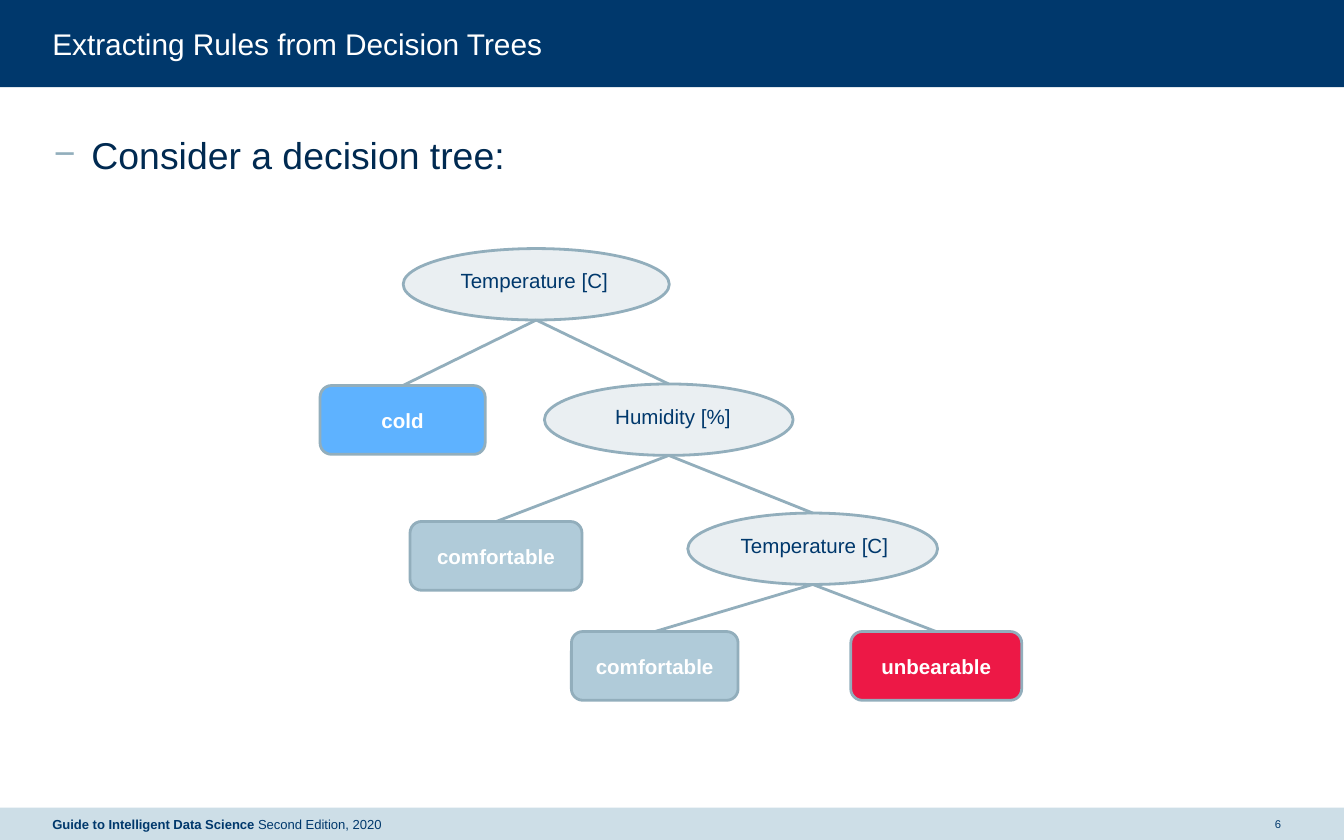
from collections import namedtuple

from lxml import etree
from pptx import Presentation
from pptx.dml.color import RGBColor
from pptx.enum.shapes import MSO_CONNECTOR, MSO_SHAPE
from pptx.enum.text import MSO_ANCHOR, MSO_AUTO_SIZE, PP_ALIGN
from pptx.oxml.ns import qn
from pptx.util import Cm, Pt

NAVY = RGBColor(0x00, 0x38, 0x6C)
INK = RGBColor(0x00, 0x2A, 0x51)
WHITE = RGBColor(0xFF, 0xFF, 0xFF)
FOOTER_BLUE = RGBColor(0xCD, 0xDE, 0xE7)
OUTLINE = RGBColor(0x92, 0xAE, 0xBC)
NODE_FILL = RGBColor(0xEA, 0xEF, 0xF2)
COLD = RGBColor(0x5E, 0xB2, 0xFF)
COMFORTABLE = RGBColor(0xB0, 0xCB, 0xD9)
UNBEARABLE = RGBColor(0xED, 0x18, 0x46)

RECTANGLE = MSO_SHAPE.RECTANGLE
OVAL = MSO_SHAPE.OVAL
ROUNDED = MSO_SHAPE.ROUNDED_RECTANGLE
STRAIGHT = MSO_CONNECTOR.STRAIGHT
TOP, MIDDLE = MSO_ANCHOR.TOP, MSO_ANCHOR.MIDDLE
LEFT, CENTER = PP_ALIGN.LEFT, PP_ALIGN.CENTER
NO_AUTOFIT = MSO_AUTO_SIZE.NONE

FONT = "Arial"
LINE_WIDTH = Pt(1.5)
NODE_HEIGHT = 1.35
LEAF_HEIGHT = 1.3
MARGIN = 0.99

# All measures in centimetres
Box = namedtuple("Box", "left top width height")

# Name: left, top, width, label text, label offset, label width
NODES = {
    "root": (1.57, 0, 5.03, "Temperature [C]", 0.64, 3.68),
    "humidity": (4.24, 2.56, 4.7, "Humidity [%]", 1.01, 2.84),
    "warm": (6.95, 5, 4.72, "Temperature [C]", 0.64, 3.51),
}
# Name: left, top, width, text, fill
LEAVES = {
    "cold": (0, 2.59, 3.12, "cold", COLD),
    "dry": (1.7, 5.16, 3.25, "comfortable", COMFORTABLE),
    "mild": (4.75, 7.24, 3.15, "comfortable", COMFORTABLE),
    "hot": (10.03, 7.24, 3.23, "unbearable", UNBEARABLE),
}
BRANCHES = [
    ("root", "cold"), ("root", "humidity"),
    ("humidity", "dry"), ("humidity", "warm"),
    ("warm", "mild"), ("warm", "hot"),
]


def lengths(box):
    return [Cm(value) for value in box]


def write(shape, spans, size, color, align=LEFT, anchor=TOP, margin=0):
    """Fill one paragraph with (text, bold) spans and return it."""
    frame = shape.text_frame
    frame.word_wrap = True
    frame.auto_size = NO_AUTOFIT
    frame.vertical_anchor = anchor
    frame.margin_left = frame.margin_right = Cm(margin)
    frame.margin_top = frame.margin_bottom = Cm(margin / 2)
    para = frame.paragraphs[0]
    para.alignment = align
    for text, bold in spans:
        span = para.add_run()
        span.text = text
        span.font.name = FONT
        span.font.size = Pt(size)
        span.font.bold = bold
        span.font.color.rgb = color
    return para


def add_text(page, box, *args, **kwargs):
    return write(page.shapes.add_textbox(*lengths(box)), *args, **kwargs)


def add_filled(page, kind, box, fill, outlined=False):
    shape = page.shapes.add_shape(kind, *lengths(box))
    shape.shadow.inherit = False
    shape.fill.solid()
    shape.fill.fore_color.rgb = fill
    if outlined:
        shape.line.color.rgb = OUTLINE
        shape.line.width = LINE_WIDTH
    else:
        shape.line.fill.background()
    return shape


def add_header(page, box):
    bar = add_filled(page, RECTANGLE, box, NAVY)
    title = page.shapes.title
    title.left, title.top, title.width, title.height = lengths(
        Box(box.left + MARGIN, box.top + 0.48, box.width - 2 * MARGIN, 0.69))
    write(title, [("Extracting Rules from Decision Trees", False)], 16, WHITE)
    # The title has to lie in front of the bar
    bar._element.addnext(title._element)


def add_body(page, box):
    para = add_text(page, box, [("Consider a decision tree:", False)], 20, INK)
    properties = para._p.get_or_add_pPr()
    properties.set("marL", str(Cm(0.74)))
    properties.set("indent", str(-Cm(0.71)))
    bullet_color = etree.SubElement(properties, qn("a:buClr"))
    etree.SubElement(bullet_color, qn("a:srgbClr"), val=str(OUTLINE))
    etree.SubElement(properties, qn("a:buFont"), typeface=FONT)
    etree.SubElement(properties, qn("a:buChar"), char="−")


def add_branch(page, parent, child):
    """Draw a line from the parent's bottom to the child's top."""
    line = page.shapes.add_connector(
        STRAIGHT, parent.left + parent.width // 2, parent.top + parent.height,
        child.left + child.width // 2, child.top)
    line.end_connect(child, 0)
    line.line.color.rgb = OUTLINE
    line.line.width = LINE_WIDTH
    etree.SubElement(line._element.spPr, qn("a:effectLst"))


def add_tree(page, box):
    shapes = {}
    for name, (left, top, width, text, offset, label_width) in NODES.items():
        oval = Box(box.left + left, box.top + top, width, NODE_HEIGHT)
        shapes[name] = add_filled(page, OVAL, oval, NODE_FILL, outlined=True)
        label = Box(oval.left + offset, oval.top + 0.25, label_width, 0.77)
        add_text(page, label, [(text, False)], 11, NAVY, CENTER, margin=0.25)
    for name, (left, top, width, text, fill) in LEAVES.items():
        leaf = Box(box.left + left, box.top + top, width, LEAF_HEIGHT)
        shapes[name] = add_filled(page, ROUNDED, leaf, fill, outlined=True)
        write(shapes[name], [(text, True)], 11, WHITE, CENTER, MIDDLE, 0.25)
    for parent, child in BRANCHES:
        add_branch(page, shapes[parent], shapes[child])


def add_footer(page, box):
    add_filled(page, RECTANGLE, box, FOOTER_BLUE)
    source = box._replace(left=box.left + MARGIN, width=11.15)
    add_text(page, source, [("Guide to Intelligent Data Science ", True),
                            ("Second Edition, 2020", False)],
             7, NAVY, anchor=MIDDLE)
    number = box._replace(left=box.left + box.width - MARGIN - 0.51, width=0.51)
    add_text(page, number, [("6", False)], 6, NAVY, CENTER, MIDDLE)


def main():
    deck = Presentation()
    deck.slide_width, deck.slide_height = Cm(25.4), Cm(15.88)
    page = deck.slides.add_slide(deck.slide_layouts[5])
    add_header(page, Box(0, 0, 25.4, 1.65))
    add_body(page, Box(MARGIN, 2.49, 23.27, 11.96))
    add_tree(page, Box(6.05, 4.7, 13.26, 8.54))
    add_footer(page, Box(0, 15.27, 25.4, 0.61))
    deck.save("out.pptx")


if __name__ == "__main__":
    main()
